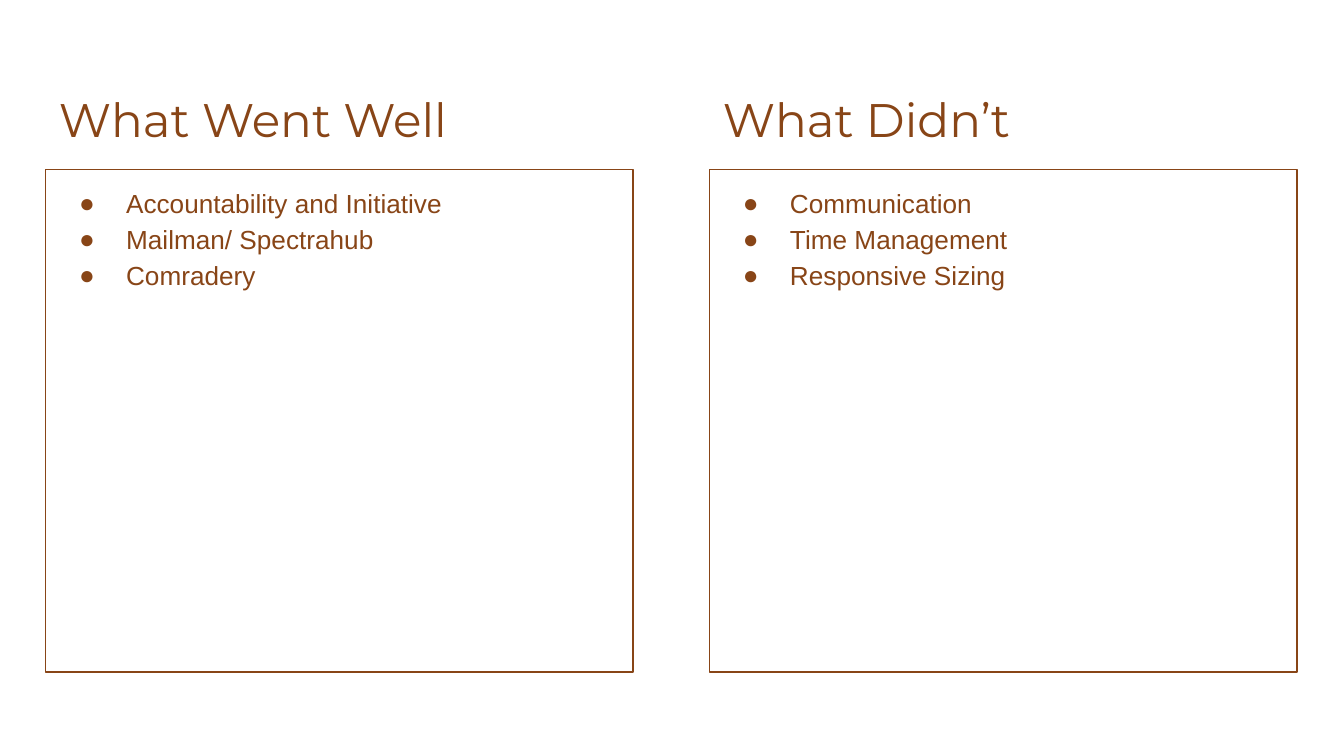
from lxml import etree
from pptx import Presentation
from pptx.dml.color import RGBColor
from pptx.enum.shapes import MSO_SHAPE
from pptx.enum.text import MSO_ANCHOR, PP_ALIGN
from pptx.oxml.ns import qn
from pptx.util import Inches, Pt

RECTANGLE = MSO_SHAPE.RECTANGLE
TOP = MSO_ANCHOR.TOP
LEFT = PP_ALIGN.LEFT

COLUMNS = [
    ("What Went Well",
     ["Accountability and Initiative", "Mailman/ Spectrahub", "Comradery"]),
    ("What Didn’t",
     ["Communication", "Time Management", "Responsive Sizing"]),
]

BROWN = RGBColor(0x88, 0x45, 0x17)
WHITE = RGBColor(0xFF, 0xFF, 0xFF)

SLIDE_W = 10
SLIDE_H = SLIDE_W * 9 / 16
MARGIN, COLUMN_W, GUTTER = 0.34, 4.37, 0.57
HEADING_TOP, HEADING_H = 0.57, 0.63
PANEL_TOP, PANEL_H = 1.26, 3.74
INSET = 0.1
BULLET_INDENT, BULLET_HANG = 0.5, 0.35


def fill_text(frame, lines, font_name, size):
    frame.word_wrap = True
    frame.vertical_anchor = TOP
    frame.margin_left = frame.margin_right = Inches(INSET)
    frame.margin_top = frame.margin_bottom = Inches(INSET)
    frame.text = "\n".join(lines)
    for paragraph in frame.paragraphs:
        paragraph.alignment = LEFT
        font = paragraph.runs[0].font
        font.name = font_name
        font.size = Pt(size)
        font.color.rgb = BROWN


def add_bullet(paragraph):
    paragraph.line_spacing = 1.15
    properties = paragraph._p.get_or_add_pPr()
    properties.set("marL", str(Inches(BULLET_INDENT)))
    properties.set("indent", str(-Inches(BULLET_HANG)))
    color = etree.SubElement(properties, qn("a:buClr"))
    etree.SubElement(color, qn("a:srgbClr"), val=str(BROWN))
    etree.SubElement(properties, qn("a:buFont"), typeface="Arial")
    etree.SubElement(properties, qn("a:buChar"), char="●")


def add_column(slide, left, heading, points):
    title = slide.shapes.add_textbox(
        Inches(left), Inches(HEADING_TOP), Inches(COLUMN_W), Inches(HEADING_H))
    fill_text(title.text_frame, [heading], "Montserrat", 25.2)

    panel = slide.shapes.add_shape(
        RECTANGLE, Inches(left), Inches(PANEL_TOP), Inches(COLUMN_W), Inches(PANEL_H))
    panel.shadow.inherit = False
    panel.fill.solid()
    panel.fill.fore_color.rgb = WHITE
    panel.line.color.rgb = BROWN
    panel.line.width = Pt(0.75)
    fill_text(panel.text_frame, points, "Arial", 14)
    for paragraph in panel.text_frame.paragraphs:
        add_bullet(paragraph)


def main():
    deck = Presentation()
    deck.slide_width, deck.slide_height = Inches(SLIDE_W), Inches(SLIDE_H)
    slide = deck.slides.add_slide(deck.slide_layouts[6])
    for index, (heading, points) in enumerate(COLUMNS):
        add_column(slide, MARGIN + index * (COLUMN_W + GUTTER), heading, points)
    deck.save("out.pptx")


if __name__ == "__main__":
    main()
